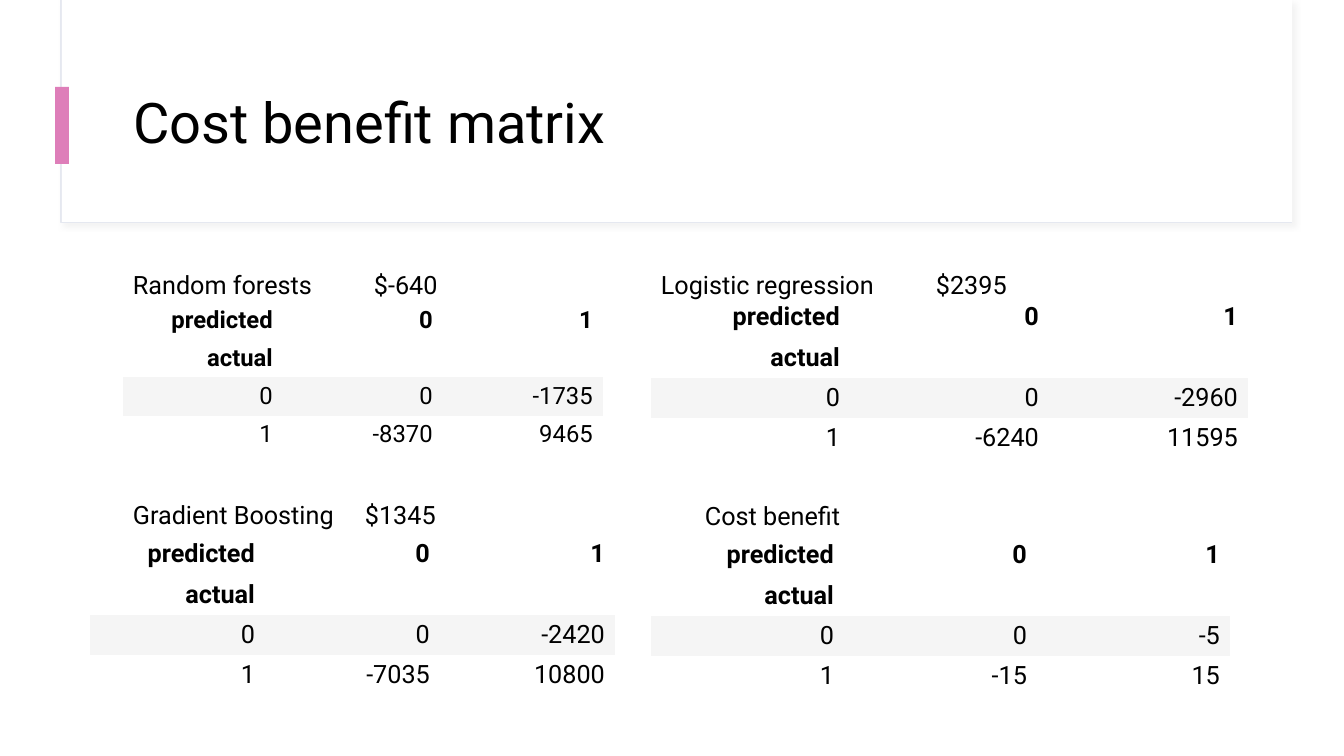
from lxml import etree
from pptx import Presentation
from pptx import util as u
from pptx.dml.color import RGBColor
from pptx.enum import shapes, text
from pptx.oxml import parse_xml
from pptx.oxml.ns import nsdecls, qn

PX = 914400 / 100.8
FONT = "Roboto"
COLORS = {"white": "FFFFFF", "black": "000000", "pink": "DE7EB9",
          "frame": "E5E8F0", "shadow": "D9D9D9", "band": "F5F5F5"}
NO_GRID_STYLE = "{2D5ABB26-0587-4C30-8999-92F81FD0307C}"


def px(*lengths):
    return [u.Emu(round(length * PX)) for length in lengths]


def set_font(paragraph, size, bold=False):
    paragraph.font.name = FONT
    paragraph.font.size = u.Pt(size)
    paragraph.font.bold = bold
    paragraph.font.color.rgb = RGBColor.from_string(COLORS["black"])


presentation = Presentation()
presentation.slide_width, presentation.slide_height = px(1344, 756)
slide = presentation.slides.add_slide(presentation.slide_layouts[5])

# Header frame, its white face and the accent bar
header = []
for box, fill in [((61, 0, 1231, 223), "white"),
                  ((62, 0, 1230, 222), "white"),
                  ((55, 87, 14, 77), "pink")]:
    shape = slide.shapes.add_shape(shapes.MSO_SHAPE.RECTANGLE, *px(*box))
    shape.shadow.inherit = False
    shape.fill.solid()
    shape.fill.fore_color.rgb = RGBColor.from_string(COLORS[fill])
    shape.line.fill.background()
    header.append(shape)

frame = header[0]
frame.line.color.rgb = RGBColor.from_string(COLORS["frame"])
frame.line.width = u.Pt(0.75)
frame_effects = frame._element.spPr.find(qn("a:effectLst"))
frame_effects.append(parse_xml(
    f'<a:outerShdw {nsdecls("a")} blurRad="{u.Pt(4)}" dist="{u.Pt(3)}" '
    f'dir="2700000" algn="tl" rotWithShape="0"><a:srgbClr val="{COLORS["shadow"]}">'
    '<a:alpha val="30000"/></a:srgbClr></a:outerShdw>'))

# Title, in front of the header
title = slide.shapes.title
slide.shapes._spTree.append(title._element)
title.left, title.top, title.width, title.height = px(123, 60, 1121, 130)
title.text_frame.text = "Cost benefit matrix"
title.text_frame.auto_size = text.MSO_AUTO_SIZE.NONE
title.text_frame.vertical_anchor = text.MSO_ANCHOR.MIDDLE
title_paragraph = title.text_frame.paragraphs[0]
title_paragraph.alignment = text.PP_ALIGN.LEFT
title_paragraph.line_spacing = 0.9
set_font(title_paragraph, 40)

# label, label box, tab stop, table left and top, column width, row height,
# font size, matrix values
matrices = [
    ("Random forests\t$-640", (123, 264, 408, 40), 241,
     (123, 301), 160, 38, 17, [("0", "-1735"), ("-8370", "9465")]),
    ("Gradient Boosting\t$1345", (123, 494, 450, 40), 232,
     (90, 534), 175, 40, 18, [("0", "-2420"), ("-7035", "10800")]),
    ("Logistic regression\t$2395", (651, 264, 458, 40), 275,
     (651, 297), 199, 40, 18, [("0", "-2960"), ("-6240", "11595")]),
    ("Cost benefit", (695, 495, 208, 40), None,
     (651, 535), 193, 40, 18, [("0", "-5"), ("-15", "15")]),
]

for label, label_box, tab, corner, column_width, row_height, size, values in matrices:
    rows = [("predicted", "0", "1"), ("actual", "", ""),
            ("0", *values[0]), ("1", *values[1])]
    graphic = slide.shapes.add_table(
        4, 3, *px(*corner, 3 * column_width, 4 * row_height))
    table = graphic.table
    table.first_row = table.horz_banding = False
    table._tbl.tblPr.find(qn("a:tableStyleId")).text = NO_GRID_STYLE
    for column in table.columns:
        column.width = px(column_width)[0]
    for row_index, row in enumerate(rows):
        table.rows[row_index].height = px(row_height)[0]
        for column_index, value in enumerate(row):
            cell = table.cell(row_index, column_index)
            cell.text = value
            cell.vertical_anchor = text.MSO_ANCHOR.MIDDLE
            cell.fill.solid()
            cell.fill.fore_color.rgb = RGBColor.from_string(
                COLORS["band" if row_index == 2 else "white"])
            paragraph = cell.text_frame.paragraphs[0]
            paragraph.alignment = text.PP_ALIGN.RIGHT
            set_font(paragraph, size, bold=row_index < 2)

    label_frame = slide.shapes.add_textbox(*px(*label_box)).text_frame
    label_frame.word_wrap = True
    label_frame.auto_size = text.MSO_AUTO_SIZE.SHAPE_TO_FIT_TEXT
    label_frame.text = label
    paragraph = label_frame.paragraphs[0]
    if tab:
        tab_list = etree.Element(qn("a:tabLst"))
        etree.SubElement(tab_list, qn("a:tab"), pos=str(px(tab)[0]), algn="l")
        paragraph._p.get_or_add_pPr().append(tab_list)
    set_font(paragraph, 18)

presentation.save("out.pptx")
